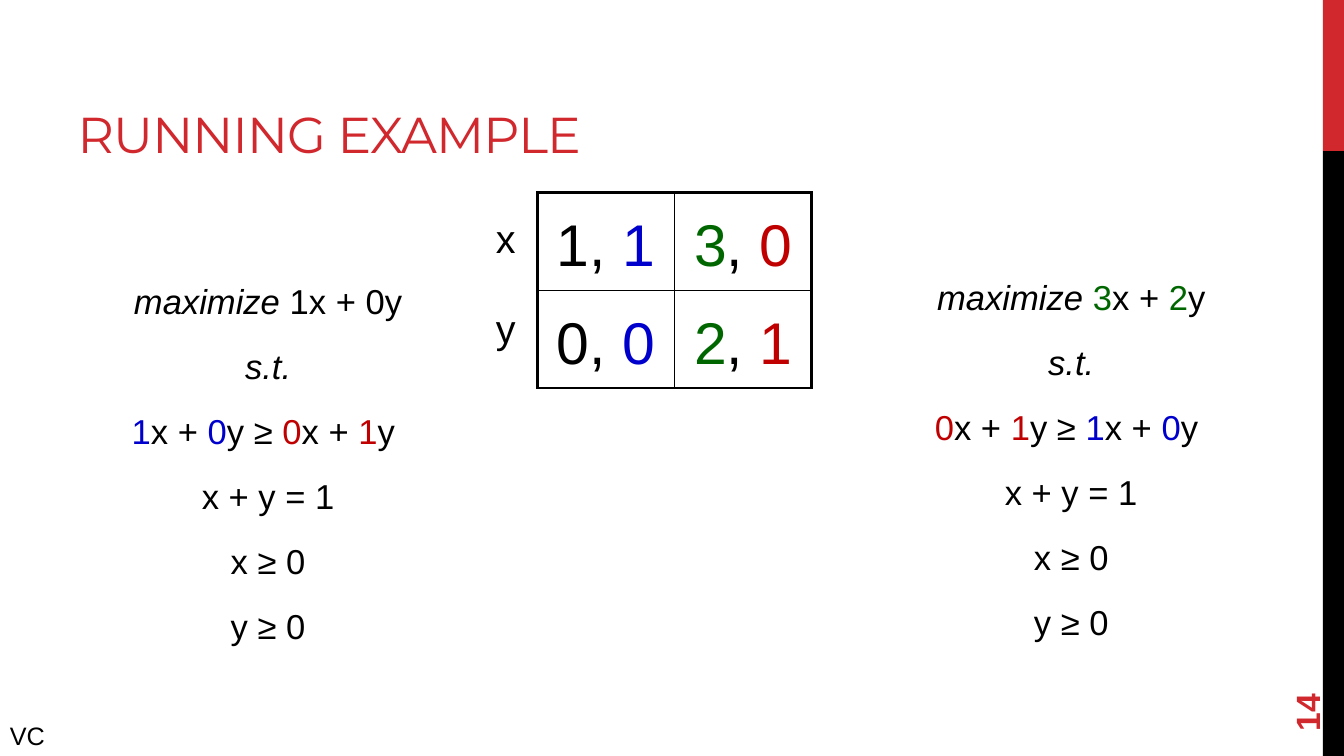
from lxml.etree import SubElement
from pptx import Presentation
from pptx.dml.color import RGBColor
from pptx.enum.shapes import MSO_SHAPE as SHAPE
from pptx.enum.text import MSO_ANCHOR as ANCHOR, PP_ALIGN as ALIGN
from pptx.oxml.ns import qn
from pptx.util import Inches, Pt

RED, BLACK = "D1282E", "000000"
BLUE, GREEN, DARK_RED = "0000CC", "006600", "C00000"
ITALIC = "italic"

# Each line is a list of runs: (text,) or (text, colour or ITALIC)
CONSTRAINTS = [[("x + y = 1",)], [("x ≥ 0",)], [("y ≥ 0",)]]
LEFT_PROGRAM = [
    [("maximize", ITALIC), (" 1x + 0y",)],
    [("s.t.", ITALIC)],
    [("1", BLUE), ("x + ",), ("0", BLUE), ("y ≥ ",),
     ("0", DARK_RED), ("x + ",), ("1", DARK_RED), ("y ",)],
] + CONSTRAINTS
RIGHT_PROGRAM = [
    [("maximize ", ITALIC), ("3", GREEN), ("x + ",), ("2", GREEN), ("y",)],
    [("s.t.", ITALIC)],
    [("0", DARK_RED), ("x + ",), ("1", DARK_RED), ("y ≥ ",),
     ("1", BLUE), ("x + ",), ("0", BLUE), ("y ",)],
] + CONSTRAINTS
PAYOFFS = [
    [[("1, ",), ("1", BLUE)], [("3", GREEN), (", ",), ("0", DARK_RED)]],
    [[("0, ",), ("0", BLUE)], [("2", GREEN), (", ",), ("1", DARK_RED)]],
]


def rgb(colour):
    return RGBColor.from_string(colour)


def set_font(p, size, colour=BLACK, name="Arial", bold=False):
    p.font.name, p.font.size, p.font.bold = name, Pt(size), bold
    p.font.color.rgb = rgb(colour)


def add_runs(p, runs, size):
    set_font(p, size)
    for text, *style in runs:
        r = p.add_run()
        r.text = text
        if style == [ITALIC]:
            r.font.italic = True
        elif style:
            r.font.color.rgb = rgb(style[0])


def add_bar(s, top, height, colour):
    bar = s.shapes.add_shape(SHAPE.RECTANGLE, Inches(13.12), Inches(top),
                             Inches(0.21), Inches(height))
    bar.shadow.inherit = False
    bar.fill.solid()
    bar.fill.fore_color.rgb = rgb(colour)
    bar.line.fill.background()


def add_box(s, left, top, width, height, wrap=True):
    sp = s.shapes.add_textbox(*map(Inches, (left, top, width, height)))
    sp.text_frame.word_wrap = wrap
    return sp


def add_label(s, text, left, top, width, height, size, wrap=True, **font):
    sp = add_box(s, left, top, width, height, wrap)
    p = sp.text_frame.paragraphs[0]
    p.text = text
    set_font(p, size, **font)
    return sp


def add_program(s, lines, left, top, width):
    tf = add_box(s, left, top, width, 6).text_frame
    for i, runs in enumerate(lines):
        p = tf.add_paragraph() if i else tf.paragraphs[0]
        p.alignment = ALIGN.CENTER
        p.line_spacing = 1.3
        if i:
            p.space_before = Pt(7.9)
        pPr = p._p.get_or_add_pPr()
        pPr.set("marL", str(Inches(0.36)))
        pPr.set("indent", str(-Inches(0.36)))
        add_runs(p, runs, 24.7)


def set_borders(cell, widths):
    tcPr = cell._tc.get_or_add_tcPr()
    for i, (side, width) in enumerate(widths.items()):
        ln = SubElement(tcPr, qn(f"a:ln{side}"), w=str(Pt(width)))
        fill = SubElement(ln, qn("a:solidFill"))
        SubElement(fill, qn("a:srgbClr"), val=BLACK)
        tcPr.insert(i, ln)  # borders come before the fill


def add_payoff_table(s):
    outer, inner = 2.25, 1
    table = s.shapes.add_table(2, 2, Inches(5.33), Inches(1.91),
                               Inches(2.72), Inches(1.94)).table
    table.first_row = table.horz_banding = False
    for i in range(2):
        table.columns[i].width = Inches(1.36)
        table.rows[i].height = Inches(0.97)
        for j in range(2):
            cell = table.cell(i, j)
            cell.fill.background()
            p = cell.text_frame.paragraphs[0]
            p.alignment = ALIGN.CENTER
            p.line_spacing = 1.24
            add_runs(p, PAYOFFS[i][j], 42)
            set_borders(cell, {"L": inner if j else outer,
                               "R": outer if j else inner,
                               "T": inner if i else outer,
                               "B": outer if i else inner})


def set_title(s, text):
    title = s.shapes.title
    title.left, title.top = Inches(0.67), Inches(0.17)
    title.width, title.height = Inches(8.44), Inches(1.5)
    tf = title.text_frame
    tf.vertical_anchor = ANCHOR.BOTTOM
    p = tf.paragraphs[0]
    p.alignment = ALIGN.LEFT
    r = p.add_run()
    r.text = text
    set_font(p, 36, RED, "Montserrat")
    r._r.get_or_add_rPr().set("spc", "-60")


def main():
    prs = Presentation()
    prs.slide_width, prs.slide_height = Inches(13.33), Inches(7.5)
    s = prs.slides.add_slide(prs.slide_layouts[5])

    # Side bar and title
    add_bar(s, 0, 1.5, RED)
    add_bar(s, 1.5, 6, BLACK)
    set_title(s, "RUNNING EXAMPLE")

    # Game with its row labels
    add_payoff_table(s)
    for text, top in (("x", 2.07), ("y", 2.97)):
        add_label(s, text, 4.82, top, 0.4, 0.58, 28.2, wrap=False)

    # One linear program per column
    add_program(s, LEFT_PROGRAM, 0.61, 2.61, 4.1)
    add_program(s, RIGHT_PROGRAM, 8.67, 2.57, 3.91)

    # Slide number and credit
    number = add_label(s, "14", 12.24, 6.37, 1.44, 0.53, 24,
                       colour=RED, bold=True)
    number.rotation = 270
    number.text_frame.vertical_anchor = ANCHOR.MIDDLE
    add_label(s, "VC", 0, 7.1, 0.76, 0.4, 18)

    prs.save("out.pptx")


if __name__ == "__main__":
    main()
